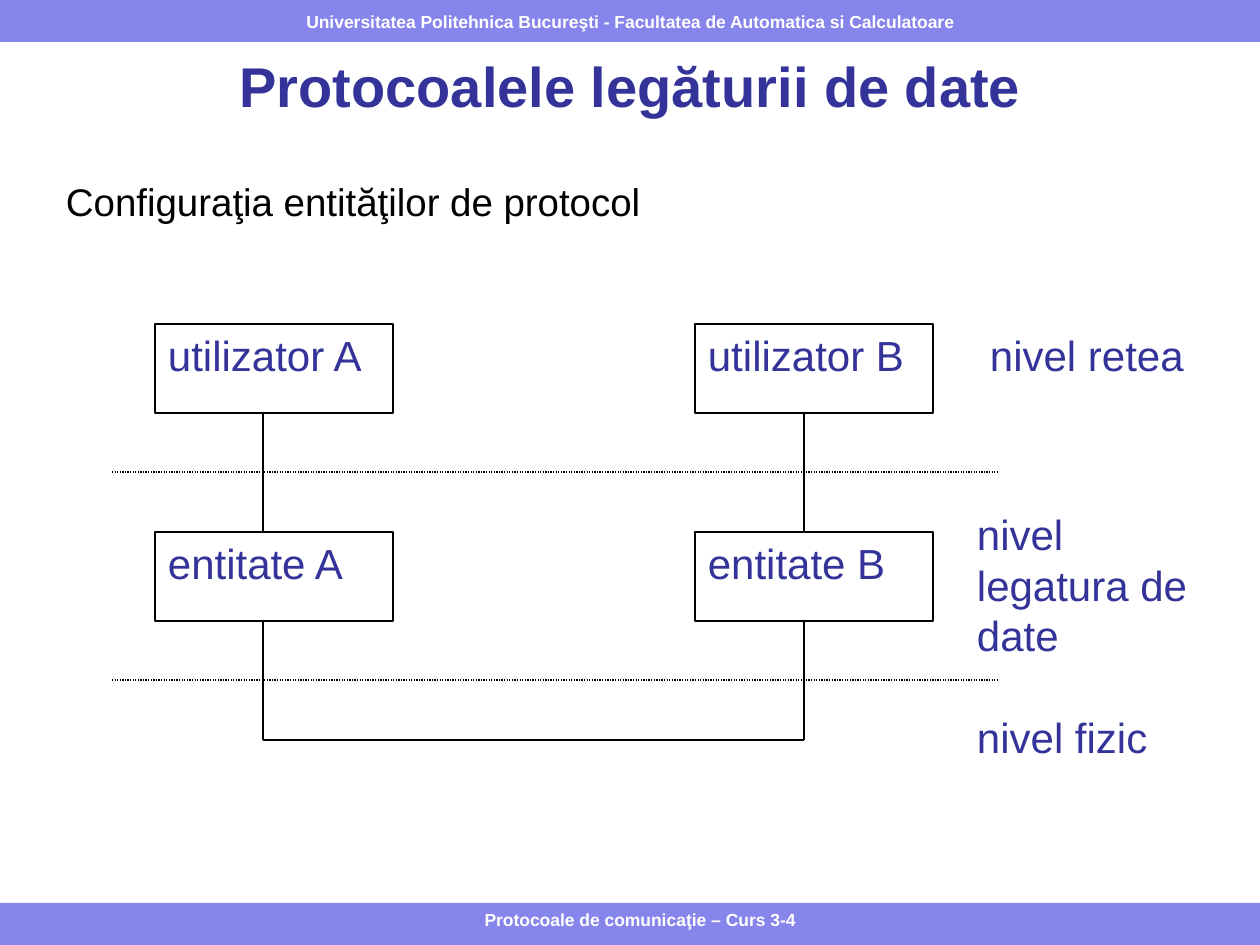
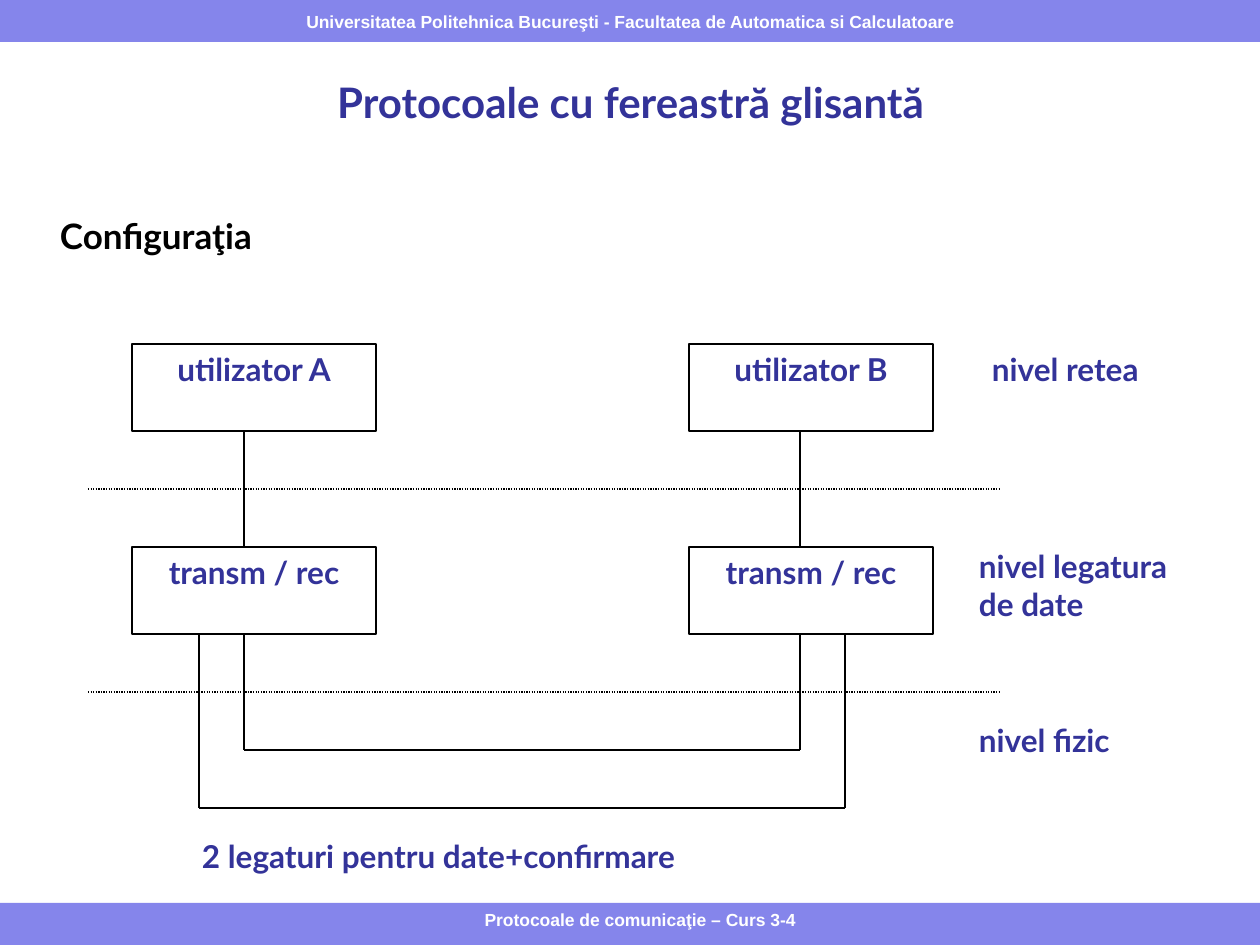
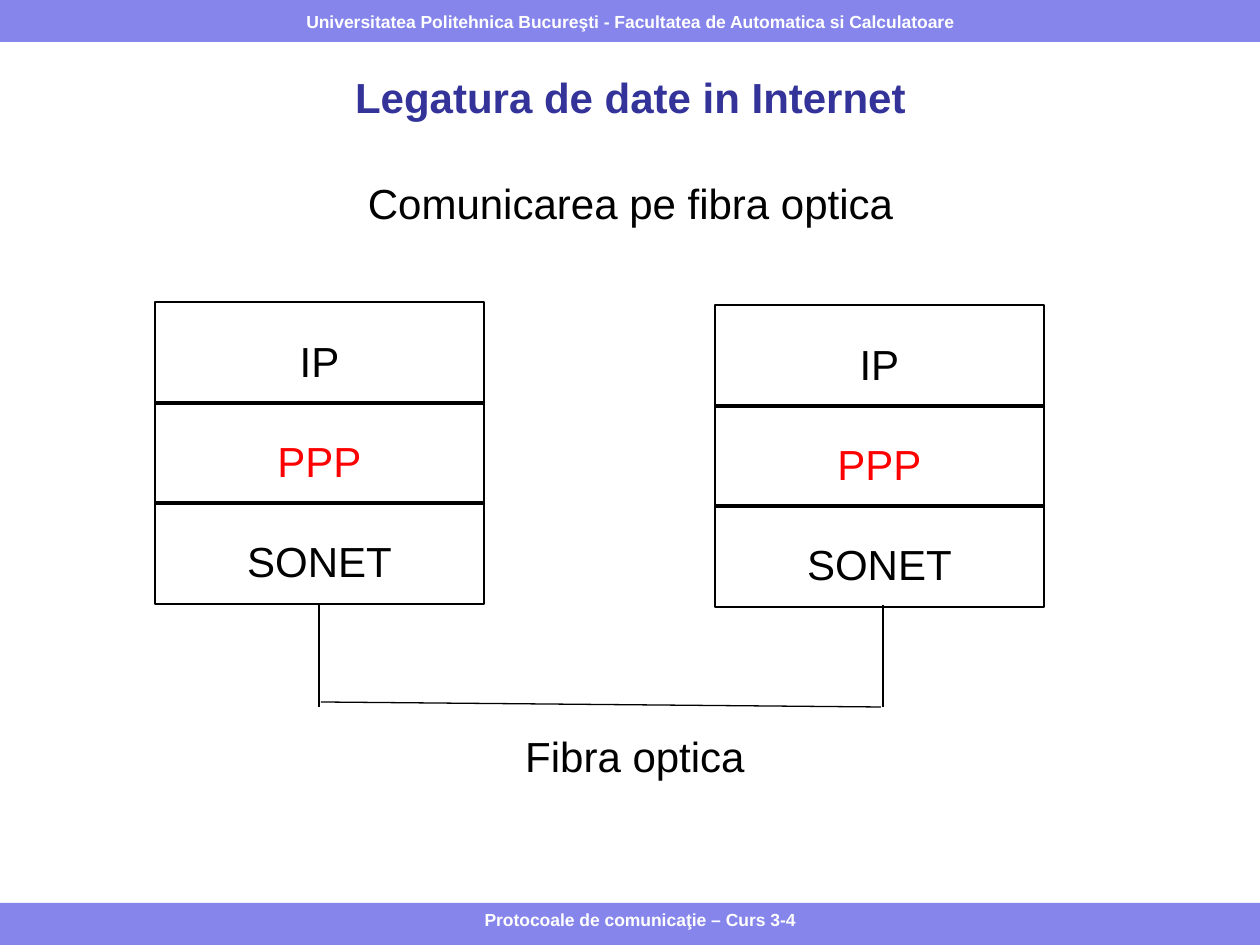
from dataclasses import dataclass
from typing import Optional

from lxml import etree
from pptx import Presentation
from pptx import util as u
from pptx.dml.color import RGBColor
from pptx.enum import dml, shapes, text
from pptx.oxml.ns import qn

EMU_PER_PX = 914400 / 126
WIDTH, HEIGHT, BAND = 1260, 945, 42
INSET_X, INSET_Y = 13, 6
COLORS = {
    "band": "8585EB",
    "navy": "333399",
    "black": "000000",
    "white": "FFFFFF",
    "red": "FF0000",
}
CENTER, LEFT = text.PP_ALIGN.CENTER, text.PP_ALIGN.LEFT
MIDDLE, TOP = text.MSO_ANCHOR.MIDDLE, text.MSO_ANCHOR.TOP


@dataclass(frozen=True)
class Area:
    left: int
    top: int
    width: int
    height: int


@dataclass(frozen=True)
class Style:
    size: int
    color: str = "navy"
    font: str = "Arial"
    bold: bool = False
    align: text.PP_ALIGN = LEFT
    anchor: text.MSO_ANCHOR = TOP


@dataclass(frozen=True)
class Label:
    words: str
    area: Area
    inset_x: int = 0
    inset_y: int = 0


@dataclass(frozen=True)
class Network:
    """Two columns of two boxes, joined by wires and split by dotted level borders."""
    columns: tuple[int, int]
    rows: tuple[int, int]
    box_width: int
    box_height: int
    wires: tuple[int, int]
    border: tuple[int, int]
    names: tuple[tuple[str, str], tuple[str, str]]
    labels: tuple[Label, ...]
    box_style: Style
    label_style: Style


BAND_STYLE = Style(10, "white", bold=True, align=CENTER, anchor=MIDDLE)
FOOTER_STYLE = Style(10, "white", bold=True, align=CENTER)

ENTITIES = Network(
    columns=(155, 695), rows=(324, 532), box_width=238, box_height=89,
    wires=(263, 804), border=(112, 998),
    names=(("utilizator A", "utilizator B"), ("entitate A", "entitate B")),
    labels=(
        Label("nivel retea", Area(977, 324, 238, 89), INSET_X, INSET_Y),
        Label("nivel legatura de date", Area(977, 509, 217, 150)),
        Label("nivel fizic", Area(977, 711, 173, 59)),
    ),
    box_style=Style(24), label_style=Style(24),
)
WINDOW = Network(
    columns=(132, 689), rows=(344, 547), box_width=244, box_height=87,
    wires=(244, 800), border=(88, 1000),
    names=(("utilizator A", "utilizator B"), ("transm / rec", "transm / rec")),
    labels=(
        Label("nivel retea", Area(979, 344, 244, 87), INSET_X, INSET_Y),
        Label("nivel legatura de date", Area(979, 547, 223, 116)),
        Label("nivel fizic", Area(979, 721, 178, 58)),
        Label("2 legaturi pentru date+confirmare", Area(202, 837, 799, 64)),
    ),
    box_style=Style(18, font="Lato", bold=True, align=CENTER),
    label_style=Style(18, font="Lato", bold=True),
)


def px(value: float) -> int:
    return round(value * EMU_PER_PX)


def rgb(name: str) -> RGBColor:
    return RGBColor.from_string(COLORS[name])


def write(shape, words: str, style: Style, inset_x: int = INSET_X,
          inset_y: int = INSET_Y, wrap: bool = True) -> None:
    frame = shape.text_frame
    frame.text = words
    frame.word_wrap = wrap
    frame.vertical_anchor = style.anchor
    frame.margin_left = frame.margin_right = px(inset_x)
    frame.margin_top, frame.margin_bottom = px(inset_y), px(min(inset_y, INSET_Y))
    paragraph = frame.paragraphs[0]
    paragraph.alignment = style.align
    font = paragraph.runs[0].font
    font.name, font.size, font.bold = style.font, u.Pt(style.size), style.bold
    font.color.rgb = rgb(style.color)


def add_text(slide, area: Area, words: str, style: Style) -> None:
    box = slide.shapes.add_textbox(px(area.left), px(area.top), px(area.width), px(area.height))
    write(box, words, style)


def add_box(slide, area: Area, fill: Optional[str], line: Optional[str]):
    shape = slide.shapes.add_shape(shapes.MSO_SHAPE.RECTANGLE, px(area.left), px(area.top),
                                   px(area.width), px(area.height))
    shape.shadow.inherit = False
    if fill:
        shape.fill.solid()
        shape.fill.fore_color.rgb = rgb(fill)
    else:
        shape.fill.background()
    if line:
        shape.line.color.rgb = rgb(line)
        shape.line.width = u.Pt(0.75)
    else:
        shape.line.fill.background()
    return shape


def add_line(slide, x1: int, y1: int, x2: int, y2: int, dotted: bool = False) -> None:
    line = slide.shapes.add_connector(shapes.MSO_CONNECTOR.STRAIGHT, px(x1), px(y1), px(x2), px(y2))
    line.line.color.rgb = rgb("black")
    line.line.width = u.Pt(0.75)
    if dotted:
        line.line.dash_style = dml.MSO_LINE.ROUND_DOT
    etree.SubElement(line.element.spPr, qn("a:effectLst"))


def add_loop(slide, wires: tuple[int, int], top: int, bottom: int) -> None:
    """Joins two wires going down from top with a line at bottom."""
    for x in wires:
        add_line(slide, x, top, x, bottom)
    add_line(slide, wires[0], bottom, wires[1], bottom)


def add_slide(presentation):
    """Adds a blank slide with the header and footer bands."""
    slide = presentation.slides.add_slide(presentation.slide_layouts[6])
    add_box(slide, Area(0, HEIGHT - BAND, WIDTH, BAND), "band", None)
    header = add_box(slide, Area(0, 0, WIDTH, BAND), "band", None)
    write(header, "Universitatea Politehnica Bucureşti - Facultatea de Automatica si Calculatoare",
          BAND_STYLE, wrap=False)
    add_text(slide, Area(325, HEIGHT - BAND, 630, BAND),
             "Protocoale de comunicaţie – Curs 3-4", FOOTER_STYLE)
    return slide


def add_title(slide, words: str, size: int, middle: int, font: str = "Arial") -> None:
    style = Style(size, font=font, bold=True, align=CENTER, anchor=MIDDLE)
    add_text(slide, Area(53, middle - 33, 1155, 66), words, style)


def draw_network(slide, network: Network) -> None:
    for top, names in zip(network.rows, network.names):
        for left, name in zip(network.columns, names):
            area = Area(left, top, network.box_width, network.box_height)
            write(add_box(slide, area, "white", "black"), name, network.box_style)
    upper, lower = (top + network.box_height for top in network.rows)
    gap = network.rows[1] - upper
    for x in network.wires:
        add_line(slide, x, upper, x, network.rows[1])
    add_loop(slide, network.wires, lower, lower + gap)
    for bottom in (lower, upper):
        y = bottom + gap // 2
        add_line(slide, network.border[0], y, network.border[1], y, dotted=True)
    for label in network.labels:
        shape = add_box(slide, label.area, "white", "white")
        write(shape, label.words, network.label_style, label.inset_x, label.inset_y)


def draw_stack(slide, left: int, top: int) -> None:
    layers = (("IP", "black"), ("PPP", "red"), ("SONET", "black"))
    for index, (name, color) in enumerate(layers):
        cell = add_box(slide, Area(left, top + 100 * index, 329, 102), None, "black")
        write(cell, name, Style(24, color, align=CENTER), inset_y=34)


def build_entities(presentation) -> None:
    slide = add_slide(presentation)
    add_title(slide, "Protocoalele legăturii de date", 32, 85)
    add_text(slide, Area(53, 172, 1155, 60), "Configuraţia entităţilor de protocol", Style(22, "black"))
    draw_network(slide, ENTITIES)


def build_window(presentation) -> None:
    slide = add_slide(presentation)
    add_title(slide, "Protocoale cu fereastră glisantă", 24, 102, "Lato")
    add_text(slide, Area(47, 208, 1155, 54), "Configuraţia", Style(20, "black", "Lato", True))
    draw_network(slide, WINDOW)
    add_loop(slide, (199, 845), 634, 808)


def build_fiber(presentation) -> None:
    slide = add_slide(presentation)
    add_title(slide, "Legatura de date in Internet", 24, 97)
    add_text(slide, Area(53, 172, 1155, 60), "Comunicarea pe fibra optica",
             Style(24, "black", align=CENTER))
    draw_stack(slide, 155, 302)
    draw_stack(slide, 715, 305)
    for x in (319, 883):
        add_line(slide, x, 605, x, 707)
    add_line(slide, 321, 702, 881, 707)
    add_text(slide, Area(484, 725, 302, 63), "Fibra optica", Style(24, "black", align=CENTER))


def main() -> None:
    presentation = Presentation()
    presentation.slide_width, presentation.slide_height = px(WIDTH), px(HEIGHT)
    for build in (build_entities, build_window, build_fiber):
        build(presentation)
    presentation.save("out.pptx")


if __name__ == "__main__":
    main()
